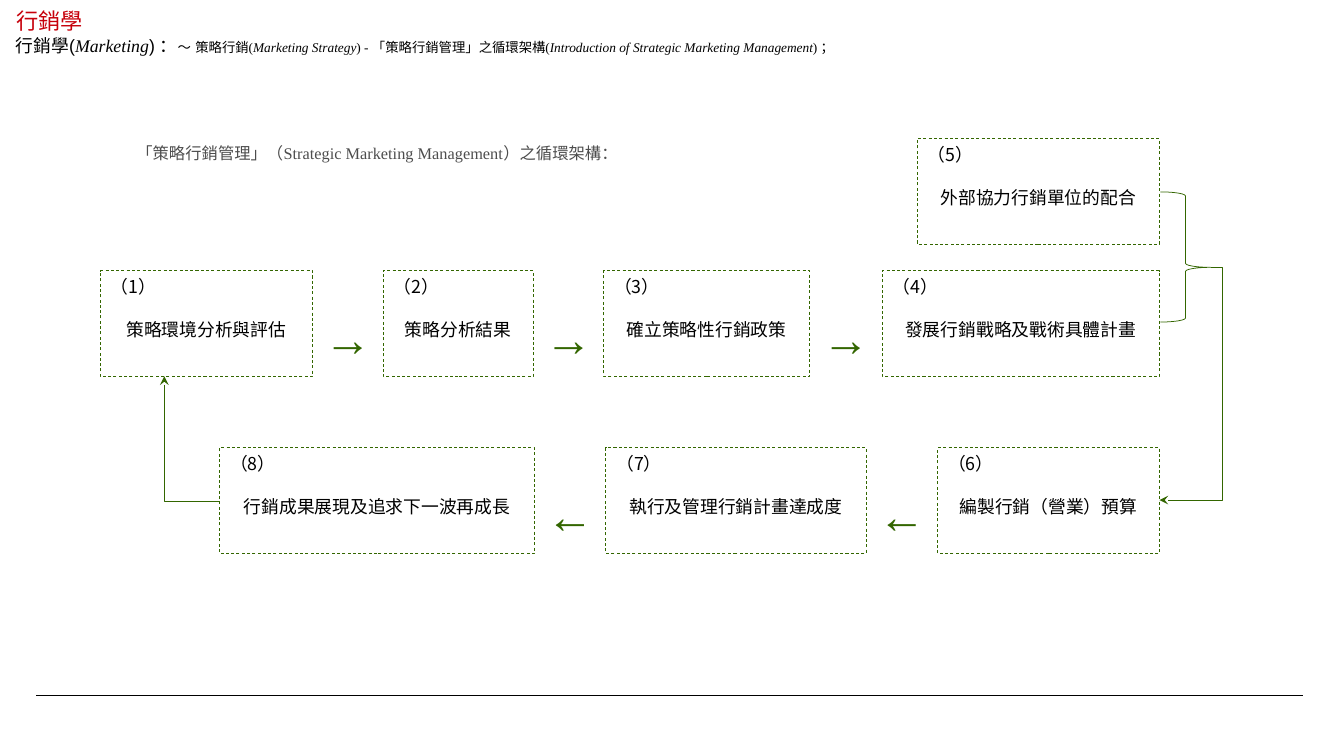
from itertools import pairwise

from lxml import etree
from pptx import Presentation
from pptx.dml.color import RGBColor
from pptx.enum.dml import MSO_LINE
from pptx.enum.shapes import MSO_CONNECTOR, MSO_SHAPE
from pptx.enum.text import MSO_ANCHOR, MSO_AUTO_SIZE, PP_ALIGN
from pptx.oxml.ns import qn
from pptx.util import Inches, Pt

COLORS = {"ink": "000000", "green": "336600", "red": "C7000B", "gray": "4D4D4D"}
SANS, SERIF, CJK = "Arial", "Times New Roman", "Noto Sans CJK SC"
COLUMNS, ROWS = 126, 70.9
BOX_ROWS, ARROW_COLUMNS, ARROW_ROWS = 9.9, 6.5, 8.1

# Each flow: top row, arrow between neighbours, (number, column, width, label)
FLOWS = [
    (13, "", [(5, 86, 22.7, "外部協力行銷單位的配合")]),
    (25.4, "→", [
        (1, 9.4, 19.9, "策略環境分析與評估"),
        (2, 35.9, 14.1, "策略分析結果"),
        (3, 56.6, 19.3, "確立策略性行銷政策"),
        (4, 82.7, 26, "發展行銷戰略及戰術具體計畫"),
    ]),
    (42, "←", [
        (8, 20.6, 29.5, "行銷成果展現及追求下一波再成長"),
        (7, 56.8, 24.4, "執行及管理行銷計畫達成度"),
        (6, 87.9, 20.8, "編製行銷（營業）預算"),
    ]),
]

SUBTITLE = [
    ("行銷學(", 12, SANS, False),
    ("Marketing", 12, SERIF, True),
    (") ：", 12, SANS, False),
    ("～", 9, SANS, False),
    (" ", 13, SANS, False),
    ("策略行銷(", 9, SERIF, False),
    ("Marketing Strategy", 9, SERIF, True),
    (") - 「策略行銷管理」之循環架構(", 9, SERIF, False),
    ("Introduction of Strategic Marketing Management", 9, SERIF, True),
    (") ；", 9, SERIF, False),
]


class FlowSlide:
    def __init__(self, prs):
        self.s = prs.slides.add_slide(prs.slide_layouts[5])
        self.column = prs.slide_width / COLUMNS
        self.row = prs.slide_height / ROWS

    def place(self, x, y, w, h):
        return [round(n) for n in (x * self.column, y * self.row,
                                   w * self.column, h * self.row)]

    def run(self, p, text, size, font, color="ink", italic=False):
        r = p.add_run()
        r.text = text
        for name, value in {"size": Pt(size), "name": font, "italic": italic}.items():
            setattr(r.font, name, value)
        r.font.color.rgb = RGBColor.from_string(COLORS[color])
        etree.SubElement(r.font._element, qn("a:ea")).set("typeface", CJK)

    def frame(self, sp, anchor=MSO_ANCHOR.TOP):
        tf = sp.text_frame
        for name, value in {"word_wrap": True, "auto_size": MSO_AUTO_SIZE.NONE,
                            "vertical_anchor": anchor}.items():
            setattr(tf, name, value)
        return tf

    def stroke(self, sp, width, color="green", dash=None):
        sp.line.color.rgb = RGBColor.from_string(COLORS[color])
        sp.line.width = Pt(width)
        if dash:
            sp.line.dash_style = dash

    def title(self, text, *area):
        sp = self.s.shapes.title
        for name, value in zip(("left", "top", "width", "height"), self.place(*area)):
            setattr(sp, name, value)
        p = self.frame(sp, MSO_ANCHOR.MIDDLE).paragraphs[0]
        p.alignment = PP_ALIGN.LEFT
        self.run(p, text, 15, SANS, "red")

    def text(self, runs, *area, align=PP_ALIGN.LEFT, spacing=None, anchor=MSO_ANCHOR.TOP):
        sp = self.s.shapes.add_textbox(*self.place(*area))
        p = self.frame(sp, anchor).paragraphs[0]
        p.alignment, p.line_spacing = align, spacing
        for run in runs:
            self.run(p, *run)

    def outline(self, kind, *area, dash=None):
        sp = self.s.shapes.add_shape(kind, *self.place(*area))
        sp.shadow.inherit = False
        sp.fill.background()
        self.stroke(sp, 0.5, dash=dash)
        return sp

    def step(self, number, label, *area):
        tf = self.frame(self.outline(MSO_SHAPE.RECTANGLE, *area, dash=MSO_LINE.DASH))
        heading, body = tf.paragraphs[0], tf.add_paragraph()
        heading.alignment, body.alignment = PP_ALIGN.LEFT, PP_ALIGN.CENTER
        body.space_before = Pt(14.4)
        self.run(heading, f"（{number}）", 12, CJK)
        self.run(body, label, 12, CJK)

    def flow(self, top, arrow, steps):
        for number, left, width, label in steps:
            self.step(number, label, left, top, width, BOX_ROWS)
        for (_, left, width, _), (_, following, _, _) in pairwise(steps):
            middle = (left + width + following) / 2
            self.text([(arrow, 32, SERIF, "green")], middle - ARROW_COLUMNS / 2,
                      top + (BOX_ROWS - ARROW_ROWS) / 2, ARROW_COLUMNS, ARROW_ROWS,
                      align=PP_ALIGN.CENTER, spacing=1.5, anchor=MSO_ANCHOR.MIDDLE)

    def brace(self, *area):
        sp = self.outline(MSO_SHAPE.LEFT_BRACE, *area)
        sp.adjustments[0], sp.adjustments[1] = 0.08, 0.58
        sp._element.spPr.find(qn("a:xfrm")).set("flipH", "1")

    def line(self, kind, begin, end, width, color="green"):
        c = self.s.shapes.add_connector(kind, *self.place(*begin, *end))
        self.stroke(c, width, color)
        etree.SubElement(c._element.spPr, qn("a:effectLst"))
        return c

    def elbow(self, begin, end, bend, arrow_end, turn=0):
        """Bend is the share of the run where it turns; turn is in degrees."""
        c = self.line(MSO_CONNECTOR.ELBOW, begin, end, 0.75)
        spPr = c._element.spPr
        spPr.find(qn("a:xfrm")).set("rot", str(turn * 60000))
        guide = etree.SubElement(spPr.find(qn("a:prstGeom")).find(qn("a:avLst")), qn("a:gd"))
        guide.set("name", "adj1")
        guide.set("fmla", f"val {round(bend * 100000)}")
        etree.SubElement(spPr.find(qn("a:ln")), qn(arrow_end)).set("type", "stealth")


def main():
    prs = Presentation()
    prs.slide_width, prs.slide_height = Inches(12.6), Inches(7.09)
    slide = FlowSlide(prs)
    slide.line(MSO_CONNECTOR.STRAIGHT, (3.4, 65.2), (122.2, 65.2), 0.5, "ink")
    slide.title("行銷學", 0.5, 0.7, 93.2, 2.4)
    slide.text([(text, size, font, "ink", italic) for text, size, font, italic in SUBTITLE],
               0.5, 2.6, 104.3, 3.2)
    slide.text([("「策略行銷管理」（Strategic Marketing Management）之循環架構：",
                 11, SERIF, "gray")], 11.8, 12, 58.1, 3.4, spacing=1.5)
    for flow in FLOWS:
        slide.flow(*flow)
    slide.brace(108.8, 18, 4.7, 12.2)
    slide.elbow((113.5, 25.1), (108.7, 46.9), -0.24, "a:tailEnd")
    slide.elbow((23.8, 38.6), (12.1, 43.7), 1, "a:headEnd", turn=270)
    prs.save("out.pptx")


if __name__ == "__main__":
    main()
